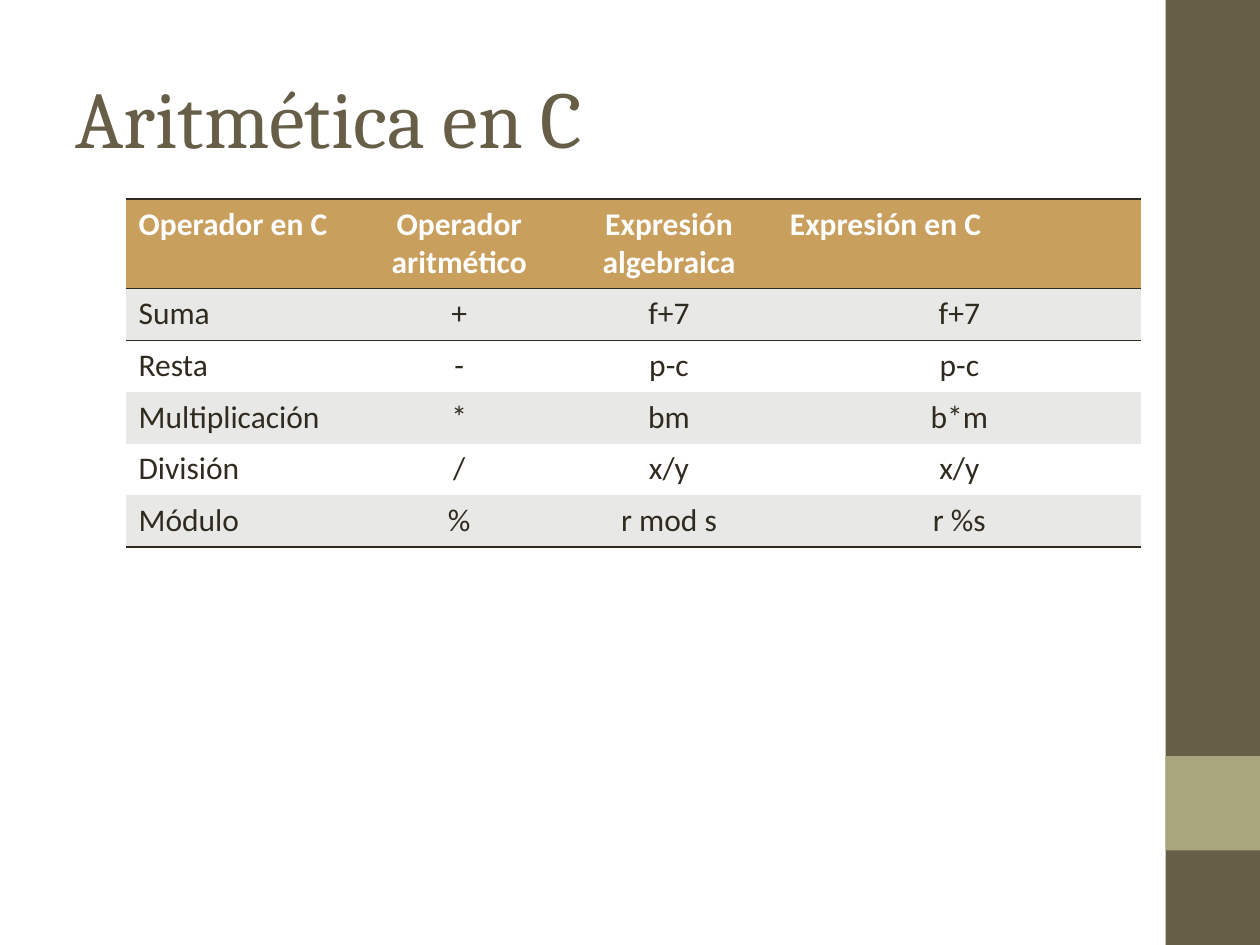
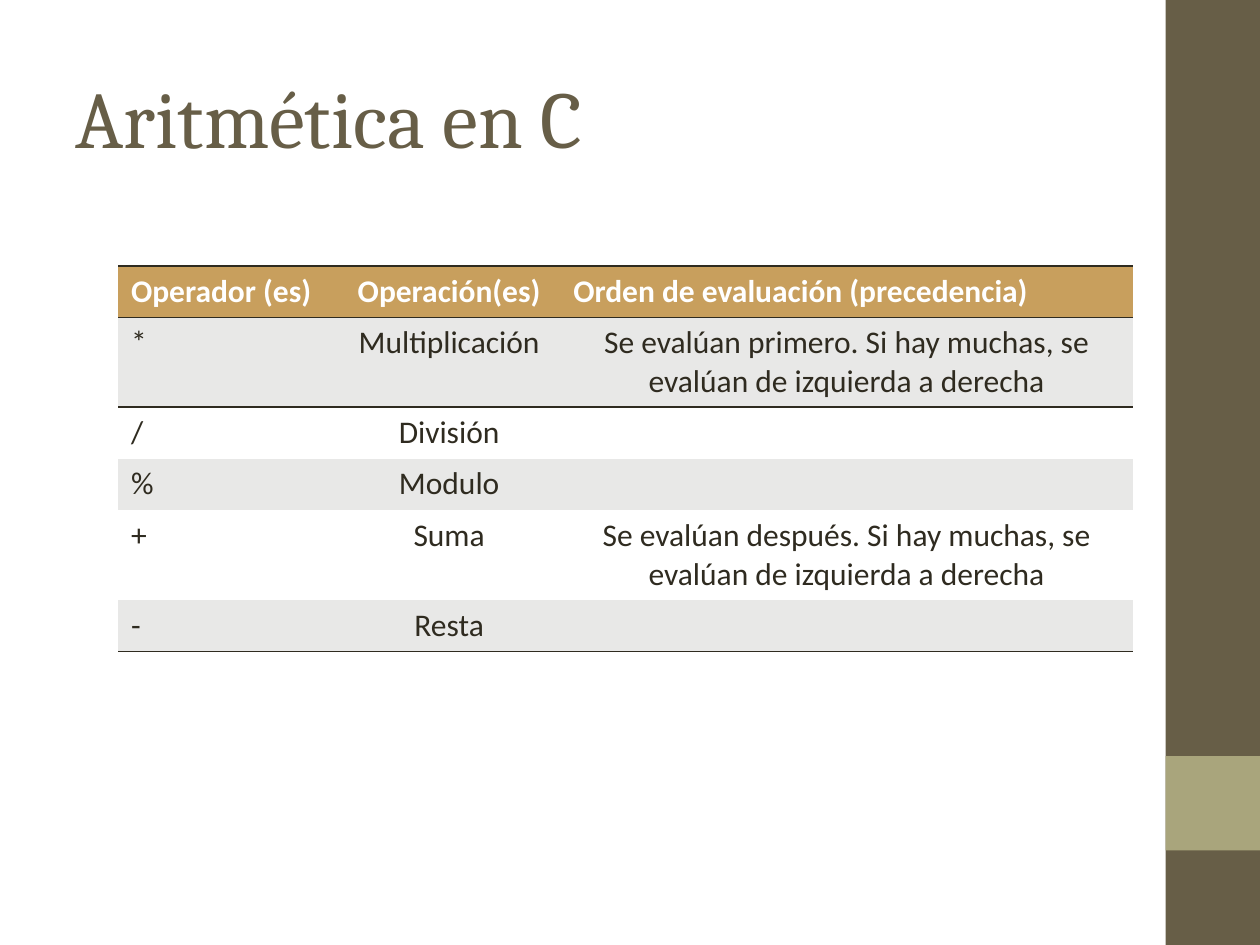
from lxml import etree
from pptx import Presentation
from pptx.dml.color import RGBColor
from pptx.enum.shapes import MSO_SHAPE
from pptx.enum.text import MSO_ANCHOR, PP_ALIGN
from pptx.oxml.ns import qn
from pptx.util import Inches, Pt

RECTANGLE = MSO_SHAPE.RECTANGLE
MIDDLE = MSO_ANCHOR.MIDDLE
LEFT, CENTER = PP_ALIGN.LEFT, PP_ALIGN.CENTER

BROWN = RGBColor(0x67, 0x5E, 0x47)
OLIVE = RGBColor(0xA9, 0xA5, 0x7C)
GOLD = RGBColor(0xC8, 0x9F, 0x5D)
INK = RGBColor(0x2F, 0x2B, 0x20)
GREY = RGBColor(0xE8, 0xE8, 0xE7)
WHITE = RGBColor(0xFF, 0xFF, 0xFF)

TITLE_FONT, BODY_FONT = "Cambria", "Calibri"
PLAIN_TABLE_STYLE = "{2D5ABB26-0587-4C30-8999-92F81FD0307C}"
BAND_WIDTH = 0.75
SINGLE_ROW, DOUBLE_ROW = 0.41, 0.71

TABLES = [
    dict(
        left=1, top=1.58, columns=[1.84, 1.61, 1.72, 2.89], double_rows=[0],
        cells=[
            ["Operador en C", "Operador aritmético", "Expresión algebraica", "Expresión en C"],
            ["Suma", "+", "f+7", "f+7"],
            ["Resta", "-", "p-c", "p-c"],
            ["Multiplicación", "*", "bm", "b*m"],
            ["División", "/", "x/y", "x/y"],
            ["Módulo", "%", "r mod s", "r %s"],
        ],
    ),
    dict(
        left=0.94, top=2.11, columns=[1.74, 1.77, 4.54], double_rows=[1, 4],
        cells=[
            ["Operador (es)", "Operación(es)", "Orden de evaluación (precedencia)"],
            ["*", "Multiplicación",
             "Se evalúan primero. Si hay muchas, se evalúan de izquierda a derecha"],
            ["/", "División", ""],
            ["%", "Modulo", ""],
            ["+", "Suma",
             "Se evalúan después. Si hay muchas, se evalúan de izquierda a derecha"],
            ["-", "Resta", ""],
        ],
    ),
]


def write(para, text, font=BODY_FONT, size=18, color=INK, bold=False, align=LEFT):
    para.alignment = align
    span = para.add_run()
    span.text = text
    span.font.name = font
    span.font.size = Pt(size)
    span.font.color.rgb = color
    span.font.bold = bold


def rule_cell(cell, side):
    """Draw a thin line on one side: "T" or "B". Call before filling the cell."""
    properties = cell._tc.get_or_add_tcPr()
    line = etree.SubElement(properties, qn(f"a:ln{side}"), w=str(Pt(0.96)))
    fill = etree.SubElement(line, qn("a:solidFill"))
    etree.SubElement(fill, qn("a:srgbClr"), val=str(INK))


deck = Presentation()
deck.slide_width, deck.slide_height = Inches(10), Inches(7.5)
title_only = deck.slide_layouts[5]

for content in TABLES:
    page = deck.slides.add_slide(title_only)

    for top, height, color in [(0, 7.5, BROWN), (6, BAND_WIDTH, OLIVE)]:
        band = page.shapes.add_shape(
            RECTANGLE, Inches(10 - BAND_WIDTH), Inches(top), Inches(BAND_WIDTH), Inches(height))
        band.shadow.inherit = False
        band.fill.solid()
        band.fill.fore_color.rgb = color
        band.line.fill.background()

    title = page.shapes.title
    title.left, title.top = Inches(0.5), Inches(0.3)
    title.width, title.height = Inches(8.33), Inches(1.25)
    title.text_frame.vertical_anchor = MIDDLE
    write(title.text_frame.paragraphs[0], "Aritmética en C",
          font=TITLE_FONT, size=46, color=BROWN)

    rows, columns = content["cells"], content["columns"]
    heights = [DOUBLE_ROW if row in content["double_rows"] else SINGLE_ROW
               for row in range(len(rows))]
    frame = page.shapes.add_table(
        len(rows), len(columns), Inches(content["left"]), Inches(content["top"]),
        Inches(sum(columns)), Inches(sum(heights)))
    table = frame.table
    table._tbl.tblPr.find(qn("a:tableStyleId")).text = PLAIN_TABLE_STYLE
    for column, width in enumerate(columns):
        table.columns[column].width = Inches(width)

    for row, texts in enumerate(rows):
        table.rows[row].height = Inches(heights[row])
        header = row == 0
        for column, text in enumerate(texts):
            cell = table.cell(row, column)
            if row <= 1:
                rule_cell(cell, "T")
            if header or row == len(rows) - 1:
                rule_cell(cell, "B")
            cell.fill.solid()
            cell.fill.fore_color.rgb = GOLD if header else GREY if row % 2 else WHITE
            left_aligned = column == 0 or (header and column == len(columns) - 1)
            if text:
                write(cell.text_frame.paragraphs[0], text, bold=header,
                      color=WHITE if header else INK,
                      align=LEFT if left_aligned else CENTER)

deck.save("out.pptx")
